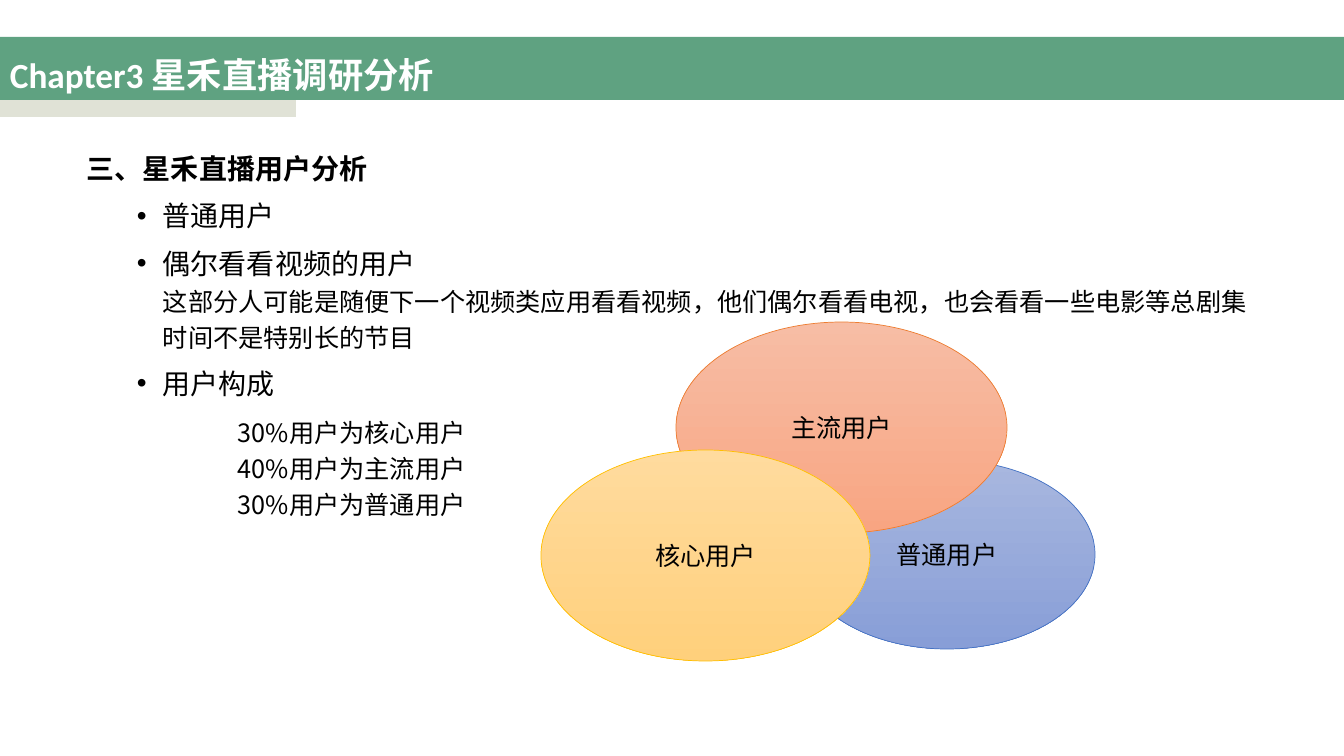
from lxml.etree import SubElement
from pptx import Presentation
from pptx.dml.color import RGBColor
from pptx.enum.shapes import MSO_SHAPE as Shape
from pptx.enum.text import MSO_ANCHOR as Anchor, PP_ALIGN as Align
from pptx.oxml.ns import qn
from pptx.util import Pt

PX = 914400 / 100.8
CJK = "Noto Sans CJK SC"


def px(*lengths):
    return [round(length * PX) for length in lengths]


def add_run(paragraph, text, size, color="000000", bold=False, latin="Calibri"):
    run = paragraph.add_run()
    run.text = text
    run.font.size = Pt(size)
    run.font.bold = bold
    run.font.color.rgb = RGBColor.from_string(color)
    run.font.name = latin
    SubElement(run.font._element, qn("a:ea")).set("typeface", CJK)


presentation = Presentation()
presentation.slide_width, presentation.slide_height = px(1344, 756)
slide = presentation.slides.add_slide(presentation.slide_layouts[6])

bands = [((0, 64, 296, 53), "E0E2D6"), ((0, 37, 1344, 63), "5FA281")]
for box, color in bands:
    band = slide.shapes.add_shape(Shape.RECTANGLE, *px(*box))
    band.shadow.inherit = False
    band.fill.solid()
    band.fill.fore_color.rgb = RGBColor.from_string(color)
    band.line.fill.background()

title = slide.shapes.add_textbox(*px(0, 37, 480, 80)).text_frame
title.word_wrap = True
title.vertical_anchor = Anchor.MIDDLE
title.paragraphs[0].line_spacing = 0.9
add_run(title.paragraphs[0], "Chapter3 星禾直播调研分析", 25.2, "FFFFFF", True)

body = slide.shapes.add_textbox(*px(77, 140, 1190, 555)).text_frame
body.word_wrap = True
body.paragraphs[0].line_spacing = 1.2
add_run(body.paragraphs[0], "三、星禾直播用户分析", 20, bold=True)

bullets = [
    [("普通用户", 20)],
    [
        ("偶尔看看视频的用户", 20),
        ("这部分人可能是随便下一个视频类应用看看视频，他们偶尔看看电视，"
         "也会看看一些电影等总剧集时间不是特别长的节目", 18),
    ],
    [("用户构成", 20)],
]
shares = [("30%用户为核心用户", 18), ("40%用户为主流用户", 18), ("30%用户为普通用户", 18)]
items = [(lines, 76, -26, 5, True) for lines in bullets] + [(shares, 151, 0, 8, False)]
for lines, margin, indent, space, bulleted in items:
    paragraph = body.add_paragraph()
    paragraph.line_spacing = 1.2
    paragraph.space_before = Pt(space)
    properties = paragraph._p.get_or_add_pPr()
    properties.set("marL", str(px(margin)[0]))
    properties.set("indent", str(px(indent)[0]))
    if bulleted:
        SubElement(properties, qn("a:buFont")).set("typeface", "Arial")
        SubElement(properties, qn("a:buChar")).set("char", "•")
    for index, (text, size) in enumerate(lines):
        if index:
            paragraph.add_line_break()
        add_run(paragraph, text, size, latin=CJK)

user_groups = [
    ("普通用户", (799, 460, 296, 189), ("A8B7DF", "889ED7"), "4472C4"),
    ("主流用户", (676, 322, 331, 211), ("F7BDA5", "F8A582"), "ED7D31"),
    ("核心用户", (541, 450, 329, 211), ("FFDB9E", "FFD07C"), "FFC000"),
]
for name, box, gradient, outline in user_groups:
    ellipse = slide.shapes.add_shape(Shape.OVAL, *px(*box))
    ellipse.shadow.inherit = False
    ellipse.fill.gradient()
    ellipse.fill.gradient_angle = 270
    for stop, color in zip(ellipse.fill.gradient_stops, gradient):
        stop.color.rgb = RGBColor.from_string(color)
    ellipse.line.color.rgb = RGBColor.from_string(outline)
    ellipse.line.width = Pt(0.5)
    ellipse.text_frame.vertical_anchor = Anchor.MIDDLE
    paragraph = ellipse.text_frame.paragraphs[0]
    paragraph.alignment = Align.CENTER
    add_run(paragraph, name, 18)

presentation.save("out.pptx")
